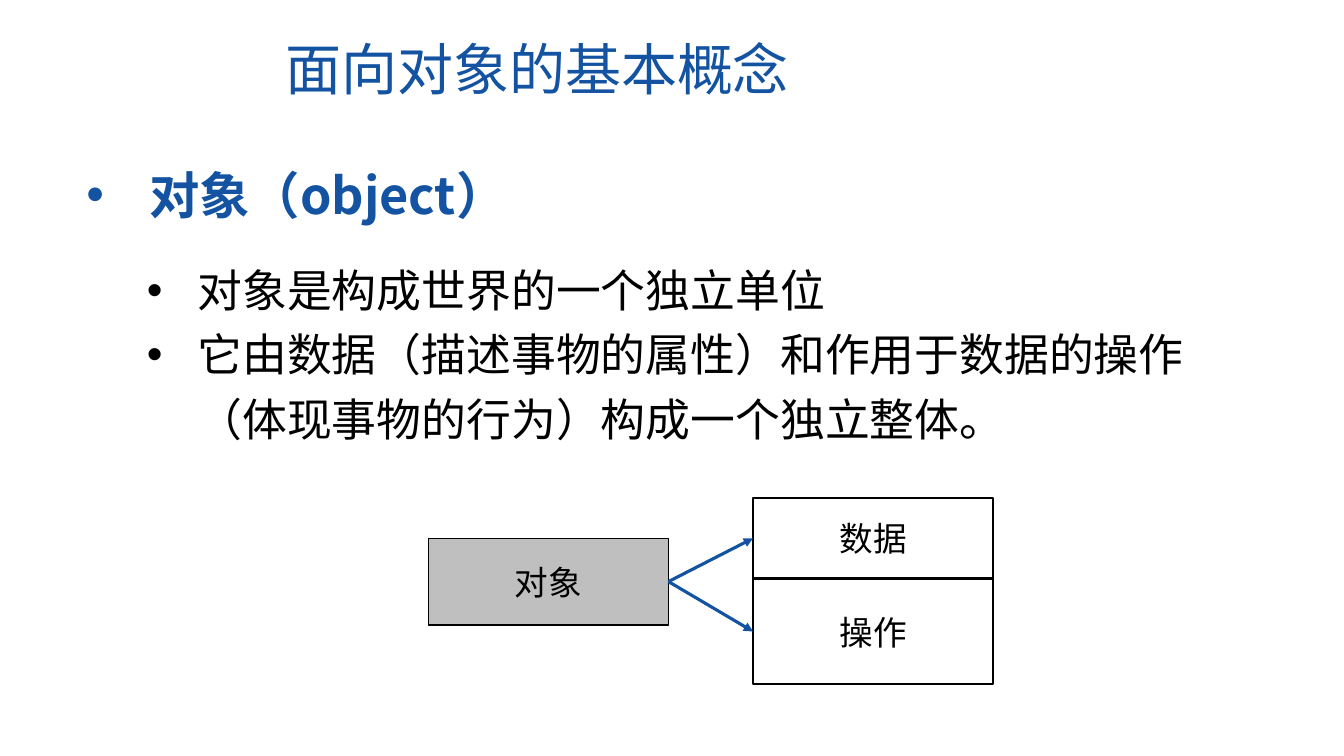
"""Build the slide on the basic concept of an object."""
import pptx
import pptx.dml.color
import pptx.enum.shapes
import pptx.enum.text
import pptx.oxml
import pptx.oxml.ns
import pptx.util
from pptx.util import Inches

COLORS = {"blue": "1353A2", "black": "000000", "gray": "BFBFBF"}
CJK = "Noto Sans CJK SC"
TITLE = "面向对象的基本概念"
TITLE_BOX = (2.73, 0.29, 5.88, 0.77)
TITLE_FORMAT = {"size": 40, "name": CJK, "color": "blue", "bold": False}
LISTS = [
    {"box": (0.76, 1.58, 8, 0.71), "indent": 0.62, "spacing": 1.0,
     "lines": ["对象（object）"],
     "format": {"size": 36, "name": CJK, "color": "blue", "bold": True}},
    {"box": (1.36, 2.45, 11, 2.04), "indent": 0.5, "spacing": 1.2,
     "lines": ["对象是构成世界的一个独立单位",
               "它由数据（描述事物的属性）和作用于数据的操作（体现事物的行为）构成一个独立整体。"],
     "format": {"size": 32, "name": "Calibri", "color": "black", "bold": False}},
]
BOX_WIDTH = 2.38
BOX_FORMAT = {"size": 24, "name": CJK, "color": "black", "bold": False}
BOXES = [
    ("对象", 4.25, 5.34, 0.86, "gray", 1),
    ("数据", 7.47, 4.94, 0.8, None, 1.5),
    ("操作", 7.47, 5.74, 1.05, None, 1.5),
]
ARROWS = [("对象", "数据"), ("对象", "操作")]


def rgb(name):
    return pptx.dml.color.RGBColor.from_string(COLORS[name])


def add_element(parent, tag, **attributes):
    element = pptx.oxml.parse_xml(f"<a:{tag} {pptx.oxml.ns.nsdecls('a')}/>")
    for key, value in attributes.items():
        element.set(key, value)
    parent.append(element)


def write(p, text, style):
    r = p.add_run()
    r.text = text
    values = {**style, "size": pptx.util.Pt(style["size"])}
    r.font.color.rgb = rgb(values.pop("color"))
    for key, value in values.items():
        setattr(r.font, key, value)
    r.font.language_id = pptx.enum.lang.MSO_LANGUAGE_ID.SIMPLIFIED_CHINESE
    r.font.name = None
    add_element(r.font._element, "latin", typeface=style["name"])
    add_element(r.font._element, "ea", typeface=CJK)


def add_title(s):
    title = s.shapes.title
    title.left, title.top, title.width, title.height = map(Inches, TITLE_BOX)
    tf = title.text_frame
    tf.auto_size = pptx.enum.text.MSO_AUTO_SIZE.NONE
    tf.vertical_anchor = pptx.enum.text.MSO_ANCHOR.TOP
    tf.paragraphs[0].alignment = pptx.enum.text.PP_ALIGN.LEFT
    write(tf.paragraphs[0], TITLE, TITLE_FORMAT)


def add_list(s, item):
    tf = s.shapes.add_textbox(*map(Inches, item["box"])).text_frame
    tf.word_wrap = True
    for i, line in enumerate(item["lines"]):
        p = tf.add_paragraph() if i else tf.paragraphs[0]
        p.line_spacing = item["spacing"]
        pPr = p._p.get_or_add_pPr()
        indent = Inches(item["indent"])
        pPr.set("marL", str(indent))
        pPr.set("indent", str(-indent))
        add_element(pPr, "buFont", typeface="Arial")
        add_element(pPr, "buChar", char="•")
        write(p, line, item["format"])


def add_box(s, text, left, top, height, fill, weight):
    sp = s.shapes.add_shape(pptx.enum.shapes.MSO_SHAPE.RECTANGLE,
                            *map(Inches, (left, top, BOX_WIDTH, height)))
    sp.shadow.inherit = False
    if fill:
        sp.fill.solid()
        sp.fill.fore_color.rgb = rgb(fill)
    else:
        sp.fill.background()
    sp.line.color.rgb = rgb("black")
    sp.line.width = pptx.util.Pt(weight)
    tf = sp.text_frame
    tf.vertical_anchor = pptx.enum.text.MSO_ANCHOR.MIDDLE
    tf.paragraphs[0].alignment = pptx.enum.text.PP_ALIGN.CENTER
    write(tf.paragraphs[0], text, BOX_FORMAT)
    return sp


def add_arrow(s, start, end):
    arrow = s.shapes.add_connector(pptx.enum.shapes.MSO_CONNECTOR.STRAIGHT, 0, 0, 0, 0)
    arrow.begin_connect(start, 3)
    arrow.end_connect(end, 1)
    arrow.line.color.rgb = rgb("blue")
    arrow.line.width = pptx.util.Pt(2.25)
    add_element(arrow.line._get_or_add_ln(), "tailEnd", type="triangle")
    add_element(arrow._element.spPr, "effectLst")


def main():
    prs = pptx.Presentation()
    prs.slide_width, prs.slide_height = Inches(13.33), Inches(7.5)
    s = prs.slides.add_slide(prs.slide_layouts[5])
    add_title(s)
    for item in LISTS:
        add_list(s, item)
    boxes = {box[0]: add_box(s, *box) for box in BOXES}
    for start, end in ARROWS:
        add_arrow(s, boxes[start], boxes[end])
    prs.save("out.pptx")


if __name__ == "__main__":
    main()
